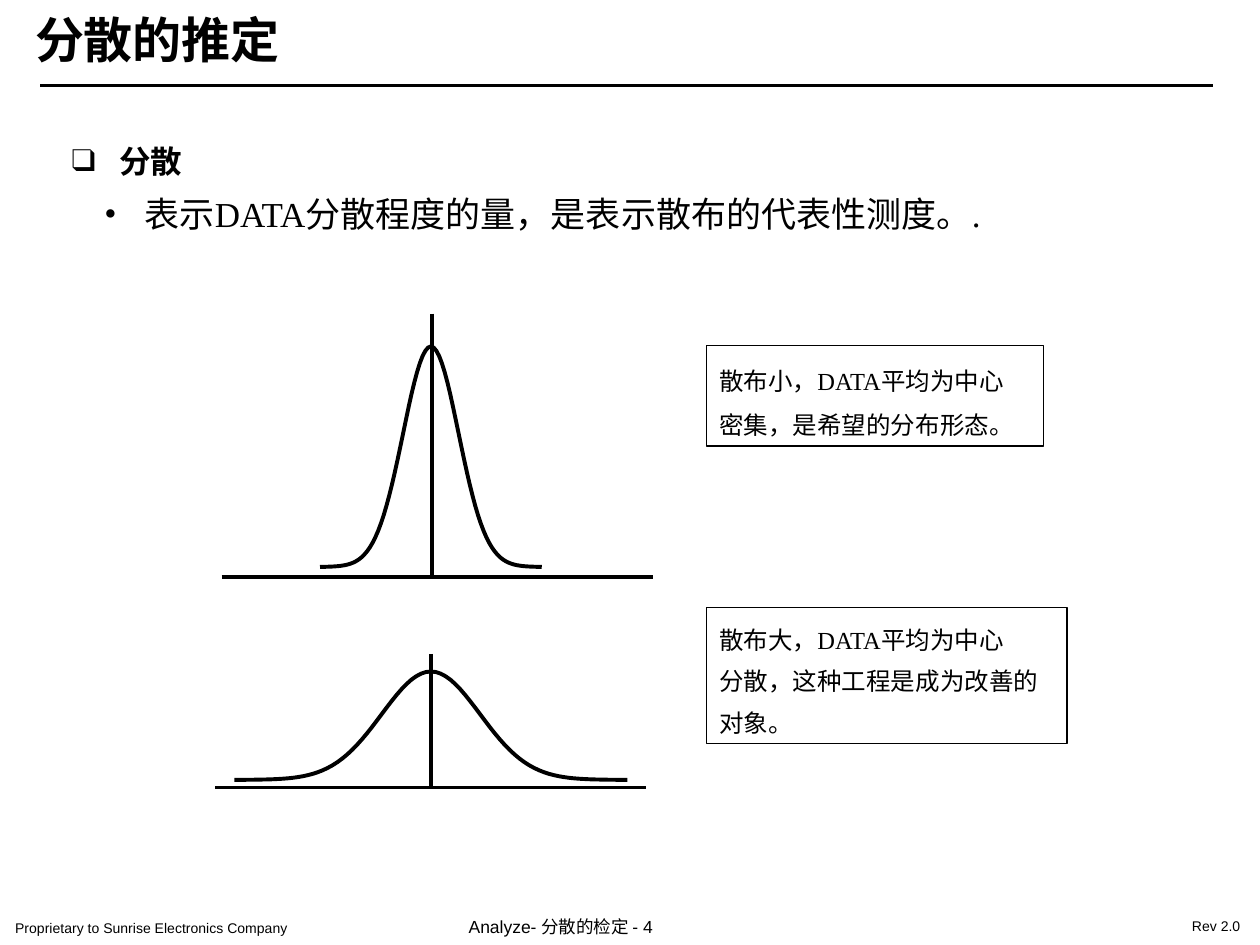
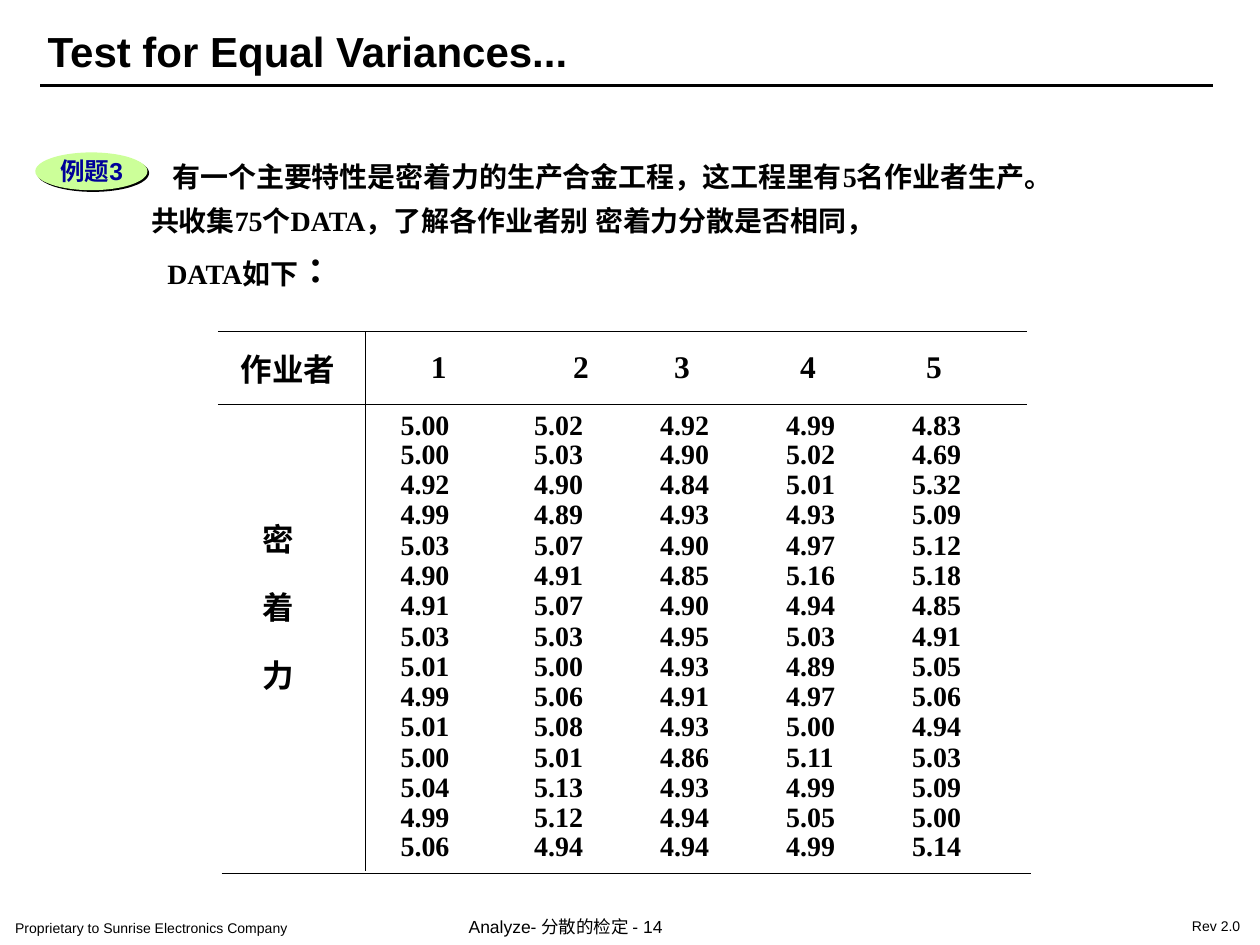
from math import exp

from lxml import etree
from pptx import Presentation
from pptx.dml.color import RGBColor
from pptx.enum.lang import MSO_LANGUAGE_ID
from pptx.enum.shapes import MSO_CONNECTOR, MSO_SHAPE
from pptx.enum.text import MSO_ANCHOR, PP_ALIGN
from pptx.oxml.ns import qn
from pptx.util import Inches, Pt

BLACK = RGBColor(0x00, 0x00, 0x00)
NAVY = RGBColor(0x00, 0x00, 0x99)
LIME = RGBColor(0xCC, 0xFF, 0x99)
SANS, SERIF, CJK = "Arial", "Times New Roman", "Noto Sans CJK KR"
KOREAN = MSO_LANGUAGE_ID.KOREAN
STRAIGHT = MSO_CONNECTOR.STRAIGHT
RECTANGLE, OVAL = MSO_SHAPE.RECTANGLE, MSO_SHAPE.OVAL
TOP, MIDDLE, BOTTOM = MSO_ANCHOR.TOP, MSO_ANCHOR.MIDDLE, MSO_ANCHOR.BOTTOM
LEFT = PP_ALIGN.LEFT
NO_GRID_STYLE = "{2D5ABB26-0587-4C30-8999-92F81FD0307C}"

COLUMN_WIDTHS = (1.17, 1.24, 1, 1, 1, 1.01)
HEADER_MARGINS = (0.18, 0.52, 0.41, 0.21, 0.21, 0.21)
VALUE_MARGINS = (0.28, 0.1, 0.1, 0.1, 0.1)
ROW_HEIGHTS = (0.58, 0.29) + (0.24,) * 13 + (0.31,)
ADHESION = (
    ("5.00", "5.02", "4.92", "4.99", "4.83"),
    ("5.00", "5.03", "4.90", "5.02", "4.69"),
    ("4.92", "4.90", "4.84", "5.01", "5.32"),
    ("4.99", "4.89", "4.93", "4.93", "5.09"),
    ("5.03", "5.07", "4.90", "4.97", "5.12"),
    ("4.90", "4.91", "4.85", "5.16", "5.18"),
    ("4.91", "5.07", "4.90", "4.94", "4.85"),
    ("5.03", "5.03", "4.95", "5.03", "4.91"),
    ("5.01", "5.00", "4.93", "4.89", "5.05"),
    ("4.99", "5.06", "4.91", "4.97", "5.06"),
    ("5.01", "5.08", "4.93", "5.00", "4.94"),
    ("5.00", "5.01", "4.86", "5.11", "5.03"),
    ("5.04", "5.13", "4.93", "4.99", "5.09"),
    ("4.99", "5.12", "4.94", "5.05", "5.00"),
    ("5.06", "4.94", "4.94", "4.99", "5.14"),
)


def add_run(p, text, size=14, font=SERIF, color=BLACK, bold=False):
    """Append a formatted run to a paragraph and return it."""
    r = p.add_run()
    r.text = text
    r.font.size, r.font.name, r.font.bold = Pt(size), font, bold
    r.font.color.rgb = color
    return r


def add_paragraph(tf, text, first=False, spacing=1.0, after=0, left=0,
                  hanging=0, bullet=None, **style):
    """Write a left-aligned paragraph with optional indents and bullet."""
    p = tf.paragraphs[0] if first else tf.add_paragraph()
    p.alignment, p.line_spacing, p.space_after = LEFT, spacing, Pt(after)
    pPr = p._p.get_or_add_pPr()
    pPr.set("marL", str(Inches(left)))
    pPr.set("indent", str(-Inches(hanging)))
    if bullet:
        etree.SubElement(pPr, qn("a:buFont")).set("typeface", SERIF)
        etree.SubElement(pPr, qn("a:buChar")).set("char", bullet)
    add_run(p, text, **style)
    return p


def set_frame(tf, inset=(0.1, 0.05), wrap=True):
    """Set the insets and wrapping of a text frame."""
    tf.margin_left = tf.margin_right = Inches(inset[0])
    tf.margin_top = tf.margin_bottom = Inches(inset[1])
    tf.word_wrap, tf.vertical_anchor = wrap, TOP


def add_text(s, box, text, inset=(0.1, 0.05), wrap=True, **style):
    """Add a text box and return its text frame."""
    tf = s.shapes.add_textbox(*map(Inches, box)).text_frame
    set_frame(tf, inset, wrap)
    add_paragraph(tf, text, first=True, **style)
    return tf


def add_line(s, x1, y1, x2, y2, width=2.25):
    """Add a straight black line without shadow."""
    line = s.shapes.add_connector(STRAIGHT, *map(Inches, (x1, y1, x2, y2)))
    line.line.color.rgb, line.line.width = BLACK, Pt(width)
    etree.SubElement(line._element.spPr, qn("a:effectLst"))


def add_bell(s, center, base, height, sigma):
    """Draw a normal curve reaching four sigmas to each side."""
    points = []
    for i in range(-40, 41):
        z = i / 10
        y = base - height * exp(-z * z / 2)
        points.append((Inches(center + z * sigma), Inches(y)))
    builder = s.shapes.build_freeform(*points[0])
    builder.add_line_segments(points[1:], close=False)
    curve = builder.convert_to_shape()
    curve.shadow.inherit = False
    curve.fill.background()
    curve.line.color.rgb, curve.line.width = BLACK, Pt(2.25)


def add_caption(s, box, texts, spacing):
    """Add an outlined box holding a remark."""
    sp = s.shapes.add_shape(RECTANGLE, *map(Inches, box))
    sp.shadow.inherit = False
    sp.fill.background()
    sp.line.color.rgb, sp.line.width = BLACK, Pt(0.75)
    set_frame(sp.text_frame)
    for i, text in enumerate(texts):
        add_paragraph(sp.text_frame, text, first=i == 0, spacing=spacing)


def add_badge(s, text):
    """Add the example label on an oval with a hard shadow."""
    sp = s.shapes.add_shape(OVAL, *map(Inches, (0.28, 1.21, 0.89, 0.3)))
    sp.shadow.inherit = False
    sp.fill.solid()
    sp.fill.fore_color.rgb = LIME
    sp.line.fill.background()
    effects = sp._element.spPr.find(qn("a:effectLst"))
    shadow = etree.SubElement(effects, qn("a:outerShdw"), blurRad="0",
                              dist=str(Pt(1.4)), dir="2700000", algn="ctr",
                              rotWithShape="0")
    etree.SubElement(shadow, qn("a:srgbClr"), val=str(BLACK))
    add_text(s, (0.38, 1.19, 1.33, 0.34), text, font=SANS, color=NAVY, bold=True)


def format_cell(cell, left, top=0, anchor=MIDDLE):
    """Set the margins, anchor and empty fill of a cell."""
    cell.margin_left, cell.margin_top = Inches(left), Inches(top)
    cell.margin_right = cell.margin_bottom = 0
    cell.vertical_anchor = anchor
    cell.fill.background()


def add_adhesion_table(s):
    """Add the table of adhesion values by operator and its rules."""
    last = len(ADHESION)
    box = map(Inches, (1.73, 2.63, sum(COLUMN_WIDTHS), sum(ROW_HEIGHTS)))
    table = s.shapes.add_table(last + 1, len(COLUMN_WIDTHS), *box).table
    table.first_row = table.horz_banding = False
    table._tbl.tblPr.find(qn("a:tableStyleId")).text = NO_GRID_STYLE
    for column, width in zip(table.columns, COLUMN_WIDTHS):
        column.width = Inches(width)
    for row, height in zip(table.rows, ROW_HEIGHTS):
        row.height = Inches(height)

    for c, text in enumerate(("作业者", "1", "2", "3", "4", "5")):
        cell = table.cell(0, c)
        format_cell(cell, HEADER_MARGINS[c])
        add_paragraph(cell.text_frame, text, first=True, size=18, bold=True)

    for r, values in enumerate(ADHESION, 1):
        anchor = {1: BOTTOM, last: TOP}.get(r, MIDDLE)
        for c, value in enumerate(values, 1):
            cell = table.cell(r, c)
            format_cell(cell, VALUE_MARGINS[c - 1], anchor=anchor)
            add_paragraph(cell.text_frame, value, first=True, spacing=0.9,
                          size=16, bold=True)

    label = table.cell(1, 0)
    label.merge(table.cell(last, 0))
    format_cell(label, 0.35, top=0.91, anchor=TOP)
    for i, char in enumerate("密着力"):
        add_paragraph(label.text_frame, char, first=i == 0, spacing=0.9,
                      after=15.4 if i < 2 else 0, size=18, bold=True)

    for x, y in ((1.73, 2.63), (1.73, 3.21), (1.76, 6.93)):
        add_line(s, x, y, x + 6.42, y, 0.75)
    add_line(s, 2.9, 2.63, 2.9, 6.91, 0.75)


def add_slide(prs, page, title, box, **style):
    """Add a slide with its footers, title rule and title."""
    s = prs.slides.add_slide(prs.slide_layouts[6])
    footers = (
        ((0, 7.24, 3.21, 0.25), "Proprietary to Sunrise Electronics Company", 8, True),
        ((3.6, 7.21, 2.33, 0.29), f"Analyze- 分散的检定 - {page}", 10, True),
        ((9.34, 7.22, 0.63, 0.25), "Rev 2.0", 8, False),
    )
    for place, text, size, wrap in footers:
        add_text(s, place, text, inset=(0.12, 0.06), wrap=wrap, size=size, font=SANS)
    add_line(s, 0.32, 0.68, 9.63, 0.68, 1.5)
    add_text(s, box, title, wrap=False, bold=True, **style)
    return s


def build_variance_slide(prs):
    """Build the slide comparing small and large spread."""
    s = add_slide(prs, 4, "分散的推定", (0.18, 0.03, 2.14, 0.57), size=28, font=CJK)
    tf = add_text(s, (0.47, 0.99, 8.33, 0.93), "分散", spacing=1.3, left=0.38,
                  hanging=0.38, bullet="❑", size=18, bold=True)
    add_paragraph(tf, "表示DATA分散程度的量，是表示散布的代表性测度。.", spacing=1.3,
                  left=0.58, hanging=0.32, bullet="•", size=20)
    add_bell(s, 3.42, 4.5, 1.75, 0.22)
    add_line(s, 1.76, 4.58, 5.18, 4.58)
    add_line(s, 3.43, 2.49, 3.43, 4.57)
    add_bell(s, 3.42, 6.19, 0.86, 0.39)
    add_line(s, 1.71, 6.25, 5.13, 6.25)
    add_line(s, 3.42, 5.19, 3.42, 6.24)
    add_caption(s, (5.61, 2.74, 2.67, 0.8),
                ["散布小，DATA平均为中心 密集，是希望的分布形态。"], 1.5)
    add_caption(s, (5.61, 4.82, 2.86, 1.08),
                ["散布大，DATA平均为中心", "分散，这种工程是成为改善的对象。"], 1.4)


def build_example_slide(prs):
    """Build the slide with the equal variances example."""
    s = add_slide(prs, 14, "Test for Equal Variances...", (0.28, 0.15, 4.37, 0.5),
                  size=24, font=SANS)
    style = {"spacing": 1.3, "size": 16, "bold": True}
    tf = add_text(s, (0.4, 1.14, 9.25, 1.23),
                  "有一个主要特性是密着力的生产合金工程，这工程里有5名作业者生产。",
                  left=0.87, **style)
    add_paragraph(tf, "共收集75个DATA，了解各作业者别 密着力分散是否相同，",
                  left=0.7, **style)
    p = add_paragraph(tf, "DATA如下", left=0.83, **style)
    add_run(p, "：", size=20, bold=True).font.language_id = KOREAN
    add_adhesion_table(s)
    add_badge(s, "例题3")


def main():
    """Build and save the presentation."""
    prs = Presentation()
    prs.slide_width, prs.slide_height = Inches(10), Inches(7.5)
    build_variance_slide(prs)
    build_example_slide(prs)
    prs.save("out.pptx")


if __name__ == "__main__":
    main()
